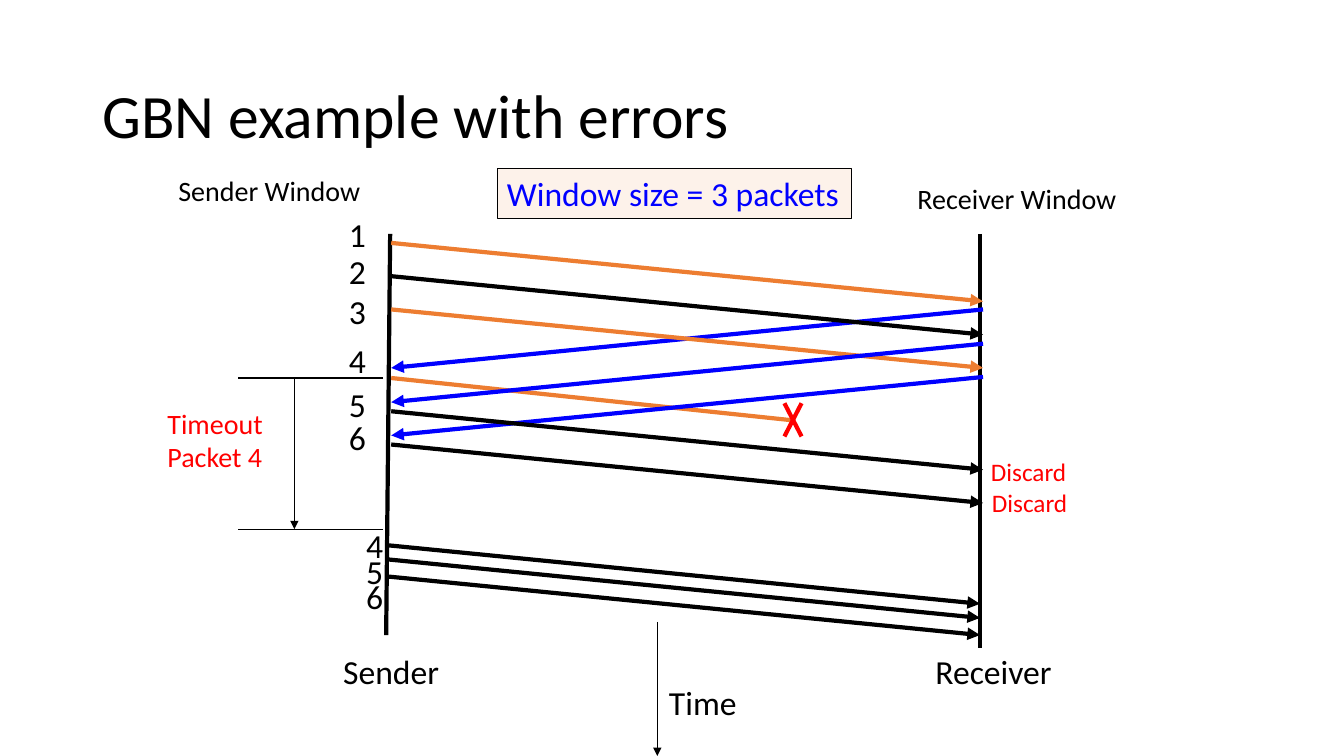
"""Draw a Go-Back-N exchange with a lost packet and a timeout."""
from dataclasses import dataclass

from lxml import etree
from pptx import Presentation
from pptx.dml.color import RGBColor
from pptx.enum import shapes, text
from pptx.oxml import ns
from pptx.util import Inches, Pt


@dataclass(frozen=True)
class Theme:
    font: str = "Calibri"
    black: str = "000000"
    blue: str = "0000FF"
    orange: str = "ED7D31"
    red: str = "FF0000"
    cream: str = "FDF2EA"
    title: int = 44
    large: int = 24
    medium: int = 20
    small: int = 18
    thick: float = 3
    axis: float = 1
    thin: float = 0.75


THEME = Theme()
LEFT, RIGHT, SLOPE = 3.88, 9.75, 0.58


@dataclass(frozen=True)
class Label:
    words: str
    left: float
    top: float
    width: float
    height: float
    size: int = THEME.large
    color: str = THEME.black
    inset: tuple[float, float] = (0.1, 0.05)
    middle: bool = False
    center: bool = False
    wrap: bool = False
    fill: str = ""


@dataclass(frozen=True)
class Line:
    start: tuple[float, float]
    end: tuple[float, float]
    color: str = THEME.black
    width: float = THEME.thick
    arrow: bool = False


def write(slide, label: Label) -> None:
    """Add a label as a text box, or as a framed box when it has a fill."""
    area = [Inches(v) for v in (label.left, label.top, label.width, label.height)]
    if label.fill:
        box = slide.shapes.add_shape(shapes.MSO_SHAPE.RECTANGLE, *area)
        box.shadow.inherit = False
        box.fill.solid()
        box.fill.fore_color.rgb = RGBColor.from_string(label.fill)
        box.line.color.rgb = RGBColor.from_string(THEME.black)
        box.line.width = Pt(THEME.thin)
    else:
        box = slide.shapes.add_textbox(*area)
    frame = box.text_frame
    frame.text = label.words
    frame.word_wrap = label.wrap
    if not label.wrap:
        frame.auto_size = text.MSO_AUTO_SIZE.SHAPE_TO_FIT_TEXT
    anchor = text.MSO_ANCHOR
    frame.vertical_anchor = anchor.MIDDLE if label.middle else anchor.TOP
    side, edge = label.inset
    frame.margin_left = frame.margin_right = Inches(side)
    frame.margin_top = frame.margin_bottom = Inches(edge)
    align = text.PP_ALIGN
    for part in frame.paragraphs:
        part.alignment = align.CENTER if label.center else align.LEFT
        for run in part.runs:
            run.font.name = THEME.font
            run.font.size = Pt(label.size)
            run.font.color.rgb = RGBColor.from_string(label.color)


def draw(slide, line: Line) -> None:
    """Add a straight line, with an arrowhead at its end if wanted."""
    ends = [Inches(v) for v in (*line.start, *line.end)]
    link = slide.shapes.add_connector(shapes.MSO_CONNECTOR.STRAIGHT, *ends)
    link.line.color.rgb = RGBColor.from_string(line.color)
    link.line.width = Pt(line.width)
    if line.arrow:
        head = etree.SubElement(link.line._get_or_add_ln(), ns.qn("a:tailEnd"))
        head.set("type", "triangle")
    etree.SubElement(link._element.spPr, ns.qn("a:effectLst"))


def send(top: float, color: str = THEME.black, shift: float = 0) -> Line:
    """Return a packet arrow from sender to receiver."""
    return Line((LEFT + shift, top), (RIGHT + shift, top + SLOPE), color, arrow=True)


def reply(top: float) -> Line:
    """Return an acknowledgement arrow from receiver to sender."""
    return Line((RIGHT, top), (LEFT, top + SLOPE), THEME.blue, arrow=True)


def digit(number: int, left: float, top: float) -> Label:
    """Return a packet number beside the sender line."""
    return Label(str(number), left, top, 0.35, 0.49, inset=(0.09, 0.04))


LINES = [
    Line((6.52, 6.17), (6.52, 7.5), width=THEME.axis, arrow=True),
    Line((3.87, 2.32), (3.83, 6.3)),
    Line((9.72, 2.32), (9.72, 6.43)),
    send(2.41, THEME.orange),
    reply(3.07),
    Line((LEFT, 3.75), (7.86, 4.17), THEME.orange),
    send(2.74),
    send(3.07, THEME.orange),
    reply(3.41),
    reply(3.74),
    Line((7.78, 4), (7.95, 4.33), THEME.red),
    Line((7.95, 4), (7.78, 4.33), THEME.red),
    *(Line((3.8, y), (2.36, y), width=THEME.thin) for y in (3.75, 5.25)),
    Line((2.92, 3.75), (2.92, 5.25), width=THEME.thin, arrow=True),
    *(send(y) for y in (4.08, 4.41)),
    *(send(y, shift=-0.03) for y in (5.41, 5.55, 5.72)),
]

LABELS = [
    Label("GBN example with errors", 0.92, 0.4, 11.5, 1.45, THEME.title,
          middle=True, wrap=True),
    Label("Time", 6.53, 6.72, 0.88, 0.5, middle=True, center=True),
    Label("Window size = 3 packets", 4.93, 1.67, 3.52, 0.5, color=THEME.blue,
          fill=THEME.cream),
    Label("Sender", 3.3, 6.41, 1.16, 0.5, middle=True, center=True),
    Label("Receiver", 9.17, 6.41, 1.37, 0.5, middle=True, center=True),
    Label("Sender Window", 1.67, 1.67, 2.02, 0.43, THEME.medium),
    Label("Receiver Window", 9, 1.75, 2.19, 0.43, THEME.medium),
    *(digit(n, 3.37, y)
      for n, y in enumerate((2.08, 2.45, 2.85, 3.33, 3.77, 4.1), 1)),
    *(digit(4 + i, 3.54, 5.17 + 0.25 * i) for i in range(3)),
    Label("Timeout\nPacket 4", 1.57, 3.99, 1.14, 0.76, THEME.medium, THEME.red,
          (0.09, 0.04)),
    *(Label("Discard", x, y, 0.96, 0.4, THEME.small, THEME.red)
      for x, y in ((9.73, 4.48), (9.74, 4.79))),
]


def main() -> None:
    """Build the slide and save it."""
    deck = Presentation()
    deck.slide_width, deck.slide_height = Inches(13.33), Inches(7.5)
    slide = deck.slides.add_slide(deck.slide_layouts[6])
    for line in LINES:
        draw(slide, line)
    for label in LABELS:
        write(slide, label)
    deck.save("out.pptx")


if __name__ == "__main__":
    main()
